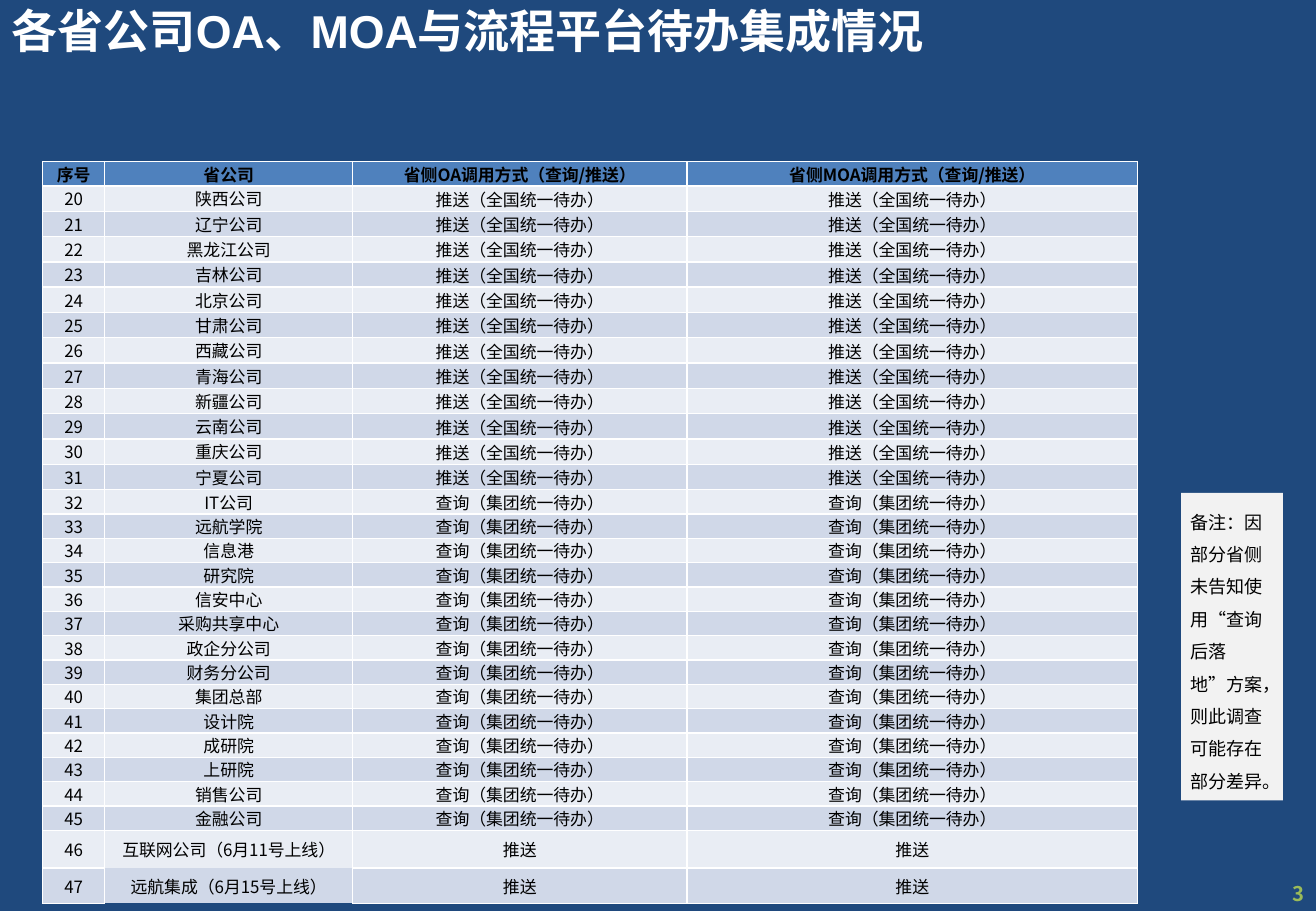
from lxml import etree
from pptx import Presentation
from pptx import util as u
from pptx.dml import color
from pptx.enum import shapes, text
from pptx.oxml import ns

TITLE = "各省公司OA、MOA与流程平台待办集成情况"
NOTE = "备注：因部分省侧未告知使用“查询后落地”方案，则此调查可能存在部分差异。"
PAGE_NUMBER = "3"
HEADER = ["序号", "省公司", "省侧OA调用方式（查询/推送）", "省侧MOA调用方式（查询/推送）"]
FIRST_NUMBER = 20
METHODS = [
    ("推送（全国统一待办）", [
        "陕西公司", "辽宁公司", "黑龙江公司", "吉林公司", "北京公司", "甘肃公司",
        "西藏公司", "青海公司", "新疆公司", "云南公司", "重庆公司", "宁夏公司"]),
    ("查询（集团统一待办）", [
        "IT公司", "远航学院", "信息港", "研究院", "信安中心", "采购共享中心", "政企分公司",
        "财务分公司", "集团总部", "设计院", "成研院", "上研院", "销售公司", "金融公司"]),
    ("推送", ["互联网公司（6月11号上线）", "远航集成（6月15号上线）"]),
]
COLORS = {
    "page": "1F497D", "header": "4F81BD", "light": "E9EDF4", "dark": "D0D8E8",
    "note": "F2F2F2", "white": "FFFFFF", "black": "000000", "number": "9BBB59",
}
FONT = "Noto Sans CJK SC"
COLUMN_WIDTHS = [1.3, 5.18, 6.99, 9.42]
ROW_HEIGHT = 0.46
LAST_HEIGHTS = [0.79, 0.74]
TABLE_LEFT, TABLE_TOP = 0.89, 3.38
COMPANY_COLUMN = 1


def paint(fill, name):
    fill.solid()
    fill.fore_color.rgb = color.RGBColor.from_string(COLORS[name])


def write(frame, words, size=10, ink="black", font=FONT, bold=False,
          align=text.PP_ALIGN.LEFT, spacing=1.0):
    para = frame.paragraphs[0]
    para.alignment = align
    para.line_spacing = spacing
    span = para.add_run()
    span.text = words
    span.font.size = u.Pt(size)
    span.font.bold = bold
    span.font.name = font
    span.font.color.rgb = color.RGBColor.from_string(COLORS[ink])
    east = etree.SubElement(span.font._element, ns.qn("a:ea"))
    east.set("typeface", FONT)


def set_margins(holder, left, top, right, bottom):
    holder.margin_left, holder.margin_top = u.Cm(left), u.Cm(top)
    holder.margin_right, holder.margin_bottom = u.Cm(right), u.Cm(bottom)


def add_box(page, place, words, margins, fill=None, **style):
    box = page.shapes.add_shape(shapes.MSO_SHAPE.RECTANGLE, *map(u.Cm, place))
    box.shadow.inherit = False
    box.line.fill.background()
    if fill:
        paint(box.fill, fill)
    else:
        box.fill.background()
    frame = box.text_frame
    frame.word_wrap = True
    frame.vertical_anchor = text.MSO_ANCHOR.TOP
    set_margins(frame, *margins)
    write(frame, words, **style)


def set_borders(cell, widths):
    properties = cell._tc.get_or_add_tcPr()
    for side, width in widths.items():
        line = etree.SubElement(properties, ns.qn("a:ln" + side))
        if not width:
            etree.SubElement(line, ns.qn("a:noFill"))
            continue
        line.set("w", str(u.Pt(width)))
        solid = etree.SubElement(line, ns.qn("a:solidFill"))
        etree.SubElement(solid, ns.qn("a:srgbClr")).set("val", COLORS["white"])


def add_table(page):
    entries = [(name, method) for method, names in METHODS for name in names]
    rows = [HEADER] + [[str(number), name, method, method]
                       for number, (name, method) in enumerate(entries, FIRST_NUMBER)]
    heights = [ROW_HEIGHT] * (len(rows) - len(LAST_HEIGHTS)) + LAST_HEIGHTS
    table = page.shapes.add_table(
        len(rows), len(HEADER), u.Cm(TABLE_LEFT), u.Cm(TABLE_TOP),
        u.Cm(sum(COLUMN_WIDTHS)), u.Cm(sum(heights))).table
    for column, width in zip(table.columns, COLUMN_WIDTHS):
        column.width = u.Cm(width)
    last = len(rows) - 1
    for r, row in enumerate(rows):
        table.rows[r].height = u.Cm(heights[r])
        fill = "header" if r == 0 else "light" if r % 2 else "dark"
        for c, words in enumerate(row):
            cell = table.cell(r, c)
            widths = {"L": 1, "R": 1, "T": 1.5 if r == 1 else 1, "B": 1.5 if r == 0 else 1}
            if c == COMPANY_COLUMN and r >= last - 1:
                widths["B"] = 0
                widths["T"] = 0 if r == last else 1
            set_borders(cell, widths)
            paint(cell.fill, fill)
            cell.vertical_anchor = text.MSO_ANCHOR.MIDDLE
            inset = 0.02 if words == METHODS[0][0] else 0
            set_margins(cell, inset, inset, inset, 0)
            write(cell.text_frame, words, bold=r == 0, align=text.PP_ALIGN.CENTER)


def main():
    deck = Presentation()
    deck.slide_width, deck.slide_height = u.Cm(27.51), u.Cm(19.05)
    page = deck.slides.add_slide(deck.slide_layouts[6])
    paint(page.background.fill, "page")
    add_box(page, (25.45, 18.36, 2.06, 0.69), PAGE_NUMBER, (0.25, 0.07, 0.25, 0),
            size=12, ink="number", bold=True, align=text.PP_ALIGN.RIGHT)
    add_box(page, (0, 0.05, 23.72, 1.68), TITLE, (0.25, 0, 0.25, 0),
            size=27.3, ink="white", font="Arial", bold=True)
    add_box(page, (24.69, 10.31, 2.13, 6.43), NOTE, (0.2, 0.15, 0.2, 0.15),
            fill="note", size=10.7, spacing=1.5)
    add_table(page)
    deck.save("out.pptx")


if __name__ == "__main__":
    main()
